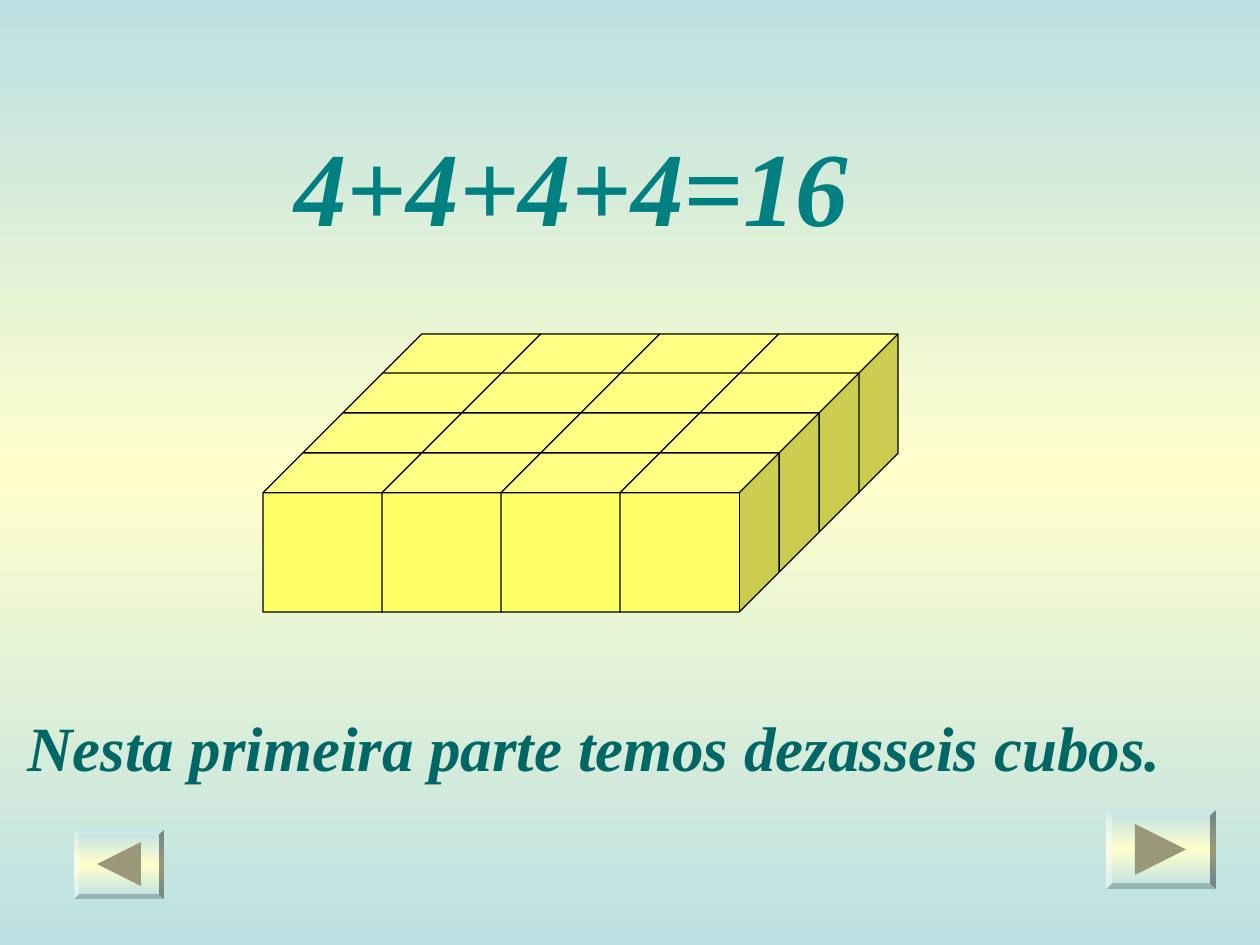
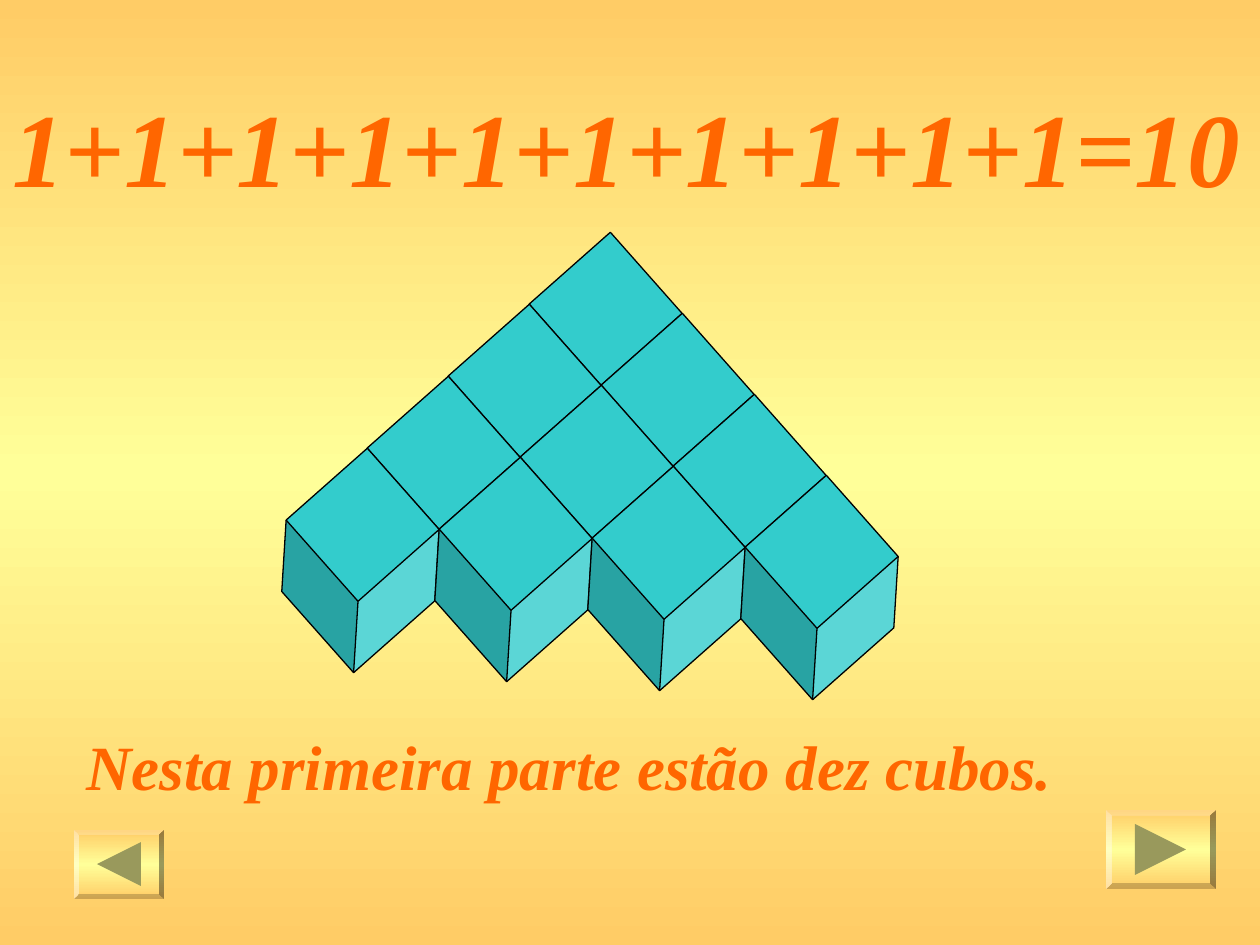
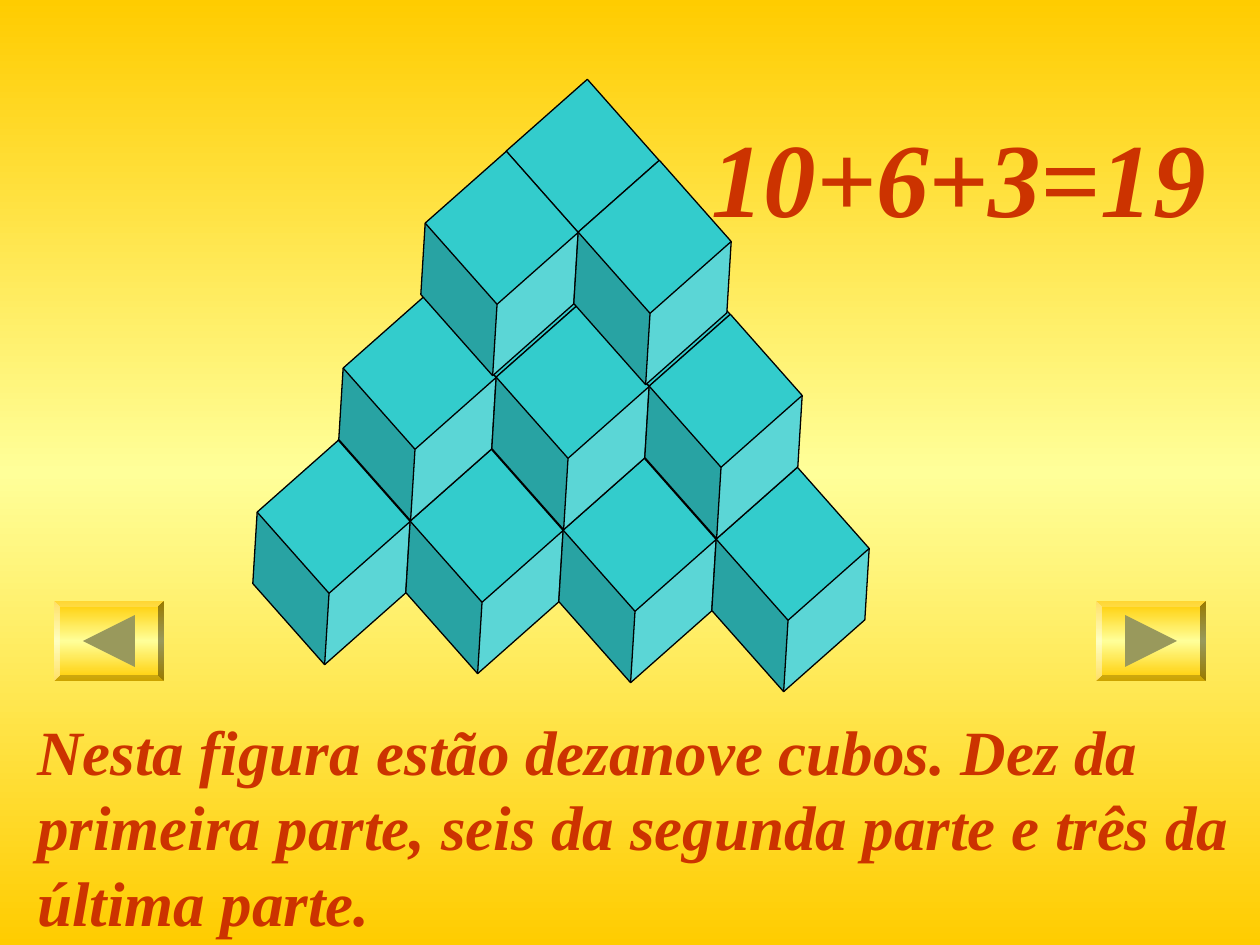
from copy import deepcopy

from pptx import Presentation
from pptx.dml.color import RGBColor
from pptx.enum.shapes import MSO_SHAPE
from pptx.oxml.ns import qn
from pptx.util import Pt

CUBE = MSO_SHAPE.CUBE
BEVEL = MSO_SHAPE.BEVEL
ARROW = MSO_SHAPE.ISOSCELES_TRIANGLE

SCALE = 914400 / 126  # EMU per px
WIDE, HIGH = 1260, 945
SIDE = 159  # box of one cube
LEFT, RIGHT = (-81, 72), (72, 81)  # steps along the two edges of a tilted layer
TURN = {"left": 270, "right": 90}

HUES = {
    "sky": "BBE0E3", "cream": "FFFFCC", "olive": "99997A",
    "peach": "FFCC66", "lemon": "FFFF99", "moss": "99995C",
    "gold": "FFCC00", "yellow": "FFFF66", "aqua": "33CCCC",
    "teal": "008080", "pine": "006666", "orange": "FF6600",
    "rust": "CC3300", "black": "000000",
}
FONT = {"name": "Times New Roman", "bold": True, "italic": True}


def px(num):
    return round(num * SCALE)


def hue(name):
    return RGBColor.from_string(HUES[name])


def shade(fill, host, edge, mid):
    """Vertical blend that runs edge, mid, edge."""
    fill.gradient()
    fill.gradient_angle = 90
    stops = next(host.iter(qn("a:gsLst")))
    stops.append(deepcopy(stops[0]))
    for stop, place, name in zip(fill.gradient_stops, (0, 0.5, 1), (edge, mid, edge)):
        stop.position = place
        stop.color.rgb = hue(name)


def add_page(deck, edge, mid):
    page = deck.slides.add_slide(deck.slide_layouts[6])
    shade(page.background.fill, page.element, edge, mid)
    return page


def add_form(shapes, kind, *box):
    form = shapes.add_shape(kind, *map(px, box))
    form.shadow.inherit = False
    return form


def add_text(page, box, words, size, color):
    frame = page.shapes.add_textbox(*map(px, box)).text_frame
    frame.word_wrap = True
    para = frame.paragraphs[0]
    para.line_spacing = Pt(size * 1.2)
    run = para.add_run()
    run.text = words
    style = {**FONT, "size": Pt(size)}
    for key, val in style.items():
        setattr(run.font, key, val)
    run.font.color.rgb = hue(color)


def add_cube(group, x, y, color, depth, turn=0):
    cube = add_form(group.shapes, CUBE, x, y, SIDE, SIDE)
    cube.adjustments[0] = depth
    cube.rotation = turn
    cube.fill.solid()
    cube.fill.fore_color.rgb = hue(color)
    cube.line.color.rgb = hue("black")
    cube.line.width = Pt(0.75)


def add_block(page, x, y, count):
    """Square block of cubes, drawn from the back row to the front."""
    group = page.shapes.add_group_shape()
    for row in range(count):
        shift = SIDE * row // 4
        for col in range(count):
            add_cube(group, x - shift + SIDE * 3 * col // 4, y + shift, "yellow", 0.25)


def add_layer(page, x, y, count):
    """Corner layer of tilted cubes, drawn one diagonal after another."""
    group = page.shapes.add_group_shape()
    for diag in range(count):
        for b in range(diag + 1):
            a = diag - b
            add_cube(group, x + a * LEFT[0] + b * RIGHT[0],
                     y + a * LEFT[1] + b * RIGHT[1], "aqua", 0.318, 138.5)


def add_button(page, box, way, edge, mid, dark):
    x, y, w, h = box
    plate = add_form(page.shapes, BEVEL, *box)
    plate.adjustments[0] = 0.07
    shade(plate.fill, plate.element, edge, mid)
    plate.line.fill.background()
    size = h * 13 // 20
    arrow = add_form(page.shapes, ARROW, x + (w - size) // 2, y + (h - size) // 2, size, size)
    arrow.rotation = TURN[way]
    arrow.fill.solid()
    arrow.fill.fore_color.rgb = hue(dark)
    arrow.line.fill.background()


def add_nav(page, back, ahead, *tones):
    add_button(page, ahead, "right", *tones)
    add_button(page, back, "left", *tones)


def main():
    deck = Presentation()
    deck.slide_width, deck.slide_height = px(WIDE), px(HIGH)
    low = (74, 830, 90, 69), (1106, 810, 110, 79)
    high = (54, 601, 110, 80), (1096, 601, 110, 80)

    # Four rows of four
    page = add_page(deck, "sky", "cream")
    add_block(page, 382, 334, 4)
    add_text(page, (15, 702, 1211, 88), "Nesta primeira parte temos dezasseis cubos.", 36, "pine")
    add_text(page, (282, 115, 645, 139), "4+4+4+4=16", 60, "teal")
    add_nav(page, *low, "sky", "cream", "olive")

    # Base layer of ten
    page = add_page(deck, "peach", "lemon")
    add_layer(page, 524, 265, 4)
    add_text(page, (74, 721, 1022, 88), "Nesta primeira parte estão dez cubos.", 36, "orange")
    add_text(page, (0, 76, WIDE, 139), "1+1+1+1+1+1+1+1+1+1=10", 60, "orange")
    add_nav(page, *low, "peach", "lemon", "moss")

    # Three layers stacked
    page = add_page(deck, "gold", "lemon")
    for x, y, count in ((495, 257, 4), (500, 185, 3), (501, 112, 2)):
        add_layer(page, x, y, count)
    add_text(page, (25, 706, 1235, 239),
             "Nesta figura estão dezanove cubos. Dez da primeira parte, "
             "seis da segunda parte e três da última parte.", 36, "rust")
    add_text(page, (699, 106, 525, 139), "10+6+3=19", 60, "rust")
    add_nav(page, *high, "gold", "lemon", "moss")

    deck.save("out.pptx")


if __name__ == "__main__":
    main()
